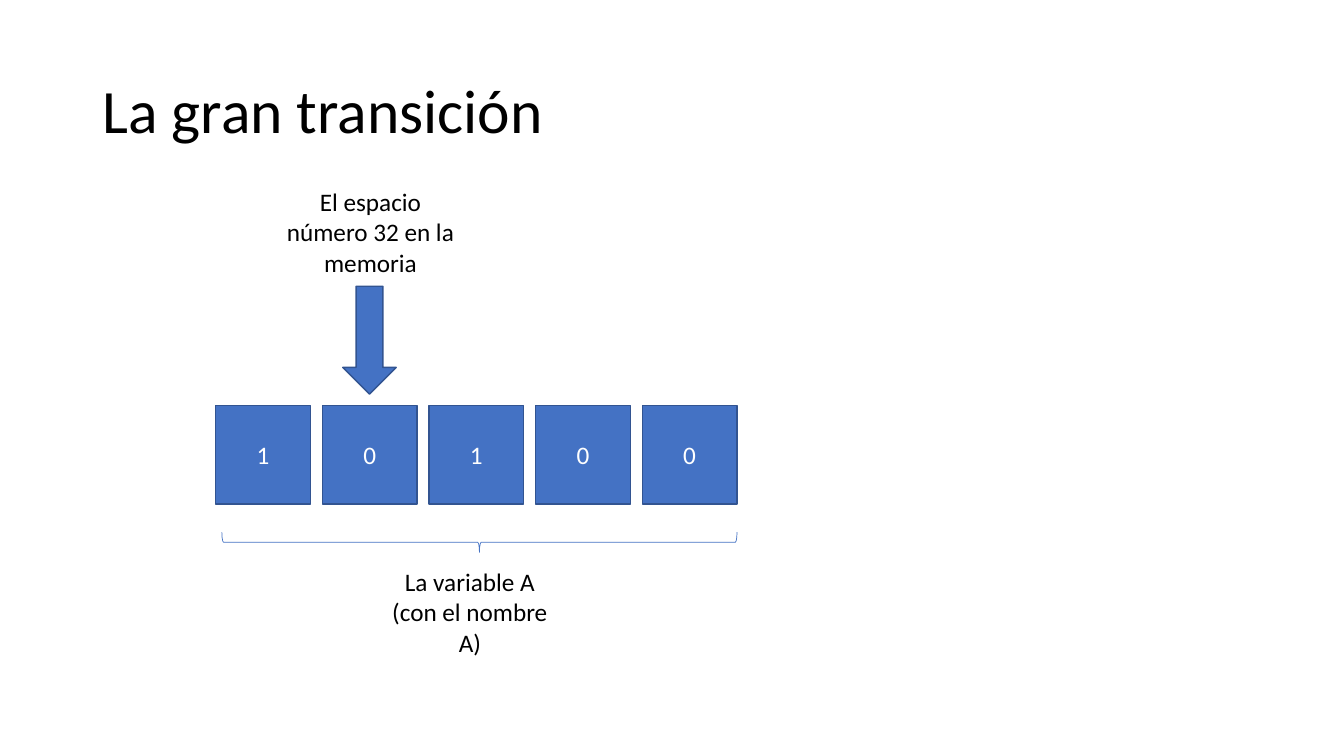
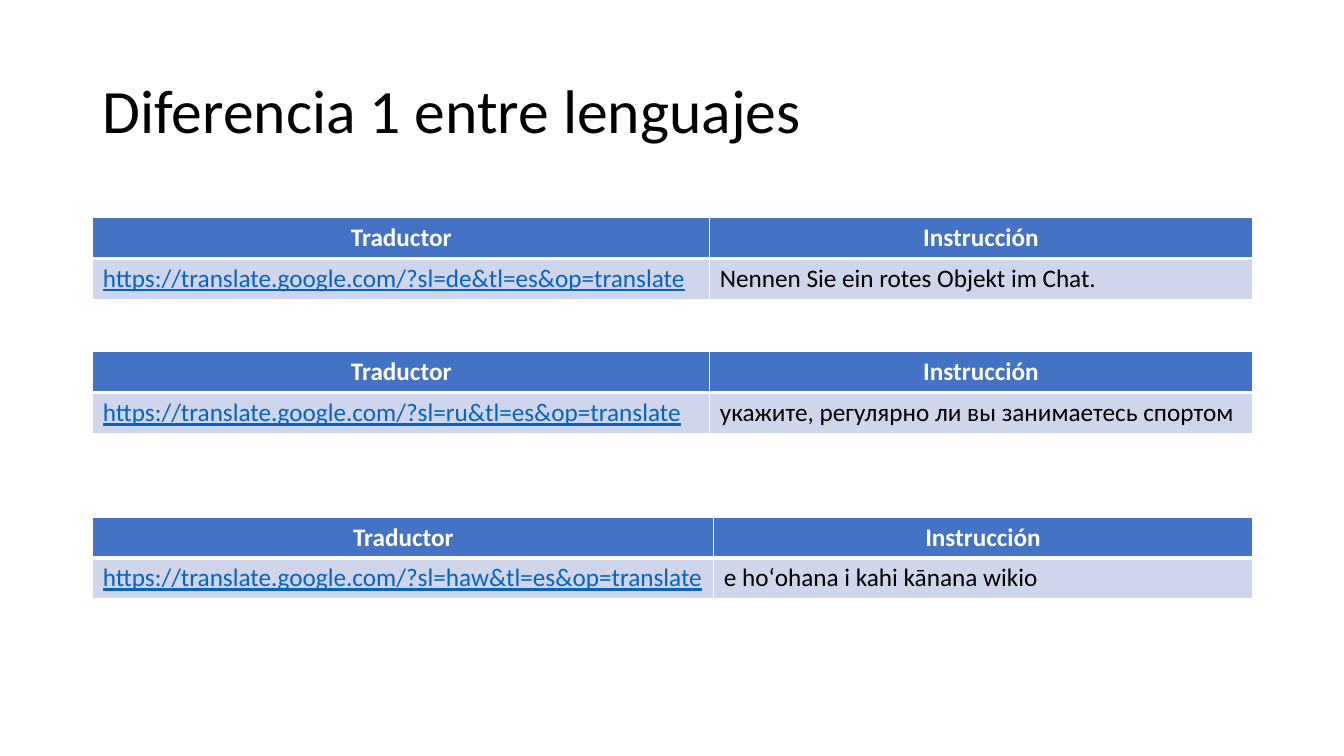
import dataclasses

import lxml.etree
import pptx
import pptx.dml.color
import pptx.enum.shapes
import pptx.enum.text
import pptx.oxml.ns
import pptx.util

Inches = pptx.util.Inches
Shapes = pptx.enum.shapes.MSO_SHAPE
Align = pptx.enum.text.PP_ALIGN
Anchor = pptx.enum.text.MSO_ANCHOR


@dataclasses.dataclass(frozen=True)
class Theme:
    font: str = "Calibri"
    title_size: int = 44
    body_size: int = 18
    black: str = "000000"
    white: str = "FFFFFF"
    blue: str = "4472C4"
    outline: str = "325491"
    pale: str = "CFD5EA"
    link: str = "0563C1"
    thin: float = 0.5
    line: float = 1
    heavy: float = 3


@dataclasses.dataclass(frozen=True)
class Box:
    left: float
    top: float
    width: float
    height: float

    def inches(self):
        return [Inches(value) for value in dataclasses.astuple(self)]


THEME = Theme()
TITLE_BOX = Box(0.92, 0.4, 11.5, 1.45)


def rgb(color):
    return pptx.dml.color.RGBColor.from_string(color)


def write(text_frame, text, color, size=THEME.body_size, align=Align.LEFT, bold=False, underline=False):
    text_frame.text = text
    paragraph = text_frame.paragraphs[0]
    paragraph.alignment = align
    font = paragraph.runs[0].font
    font.name = THEME.font
    font.size = pptx.util.Pt(size)
    font.bold = bold
    font.underline = underline
    font.color.rgb = rgb(color)


def add_text(slide, box, text, **style):
    text_frame = slide.shapes.add_textbox(*box.inches()).text_frame
    text_frame.word_wrap = True
    write(text_frame, text, THEME.black, **style)
    return text_frame


def add_title(slide, text):
    text_frame = add_text(slide, TITLE_BOX, text, size=THEME.title_size)
    text_frame.vertical_anchor = Anchor.MIDDLE
    text_frame.paragraphs[0].line_spacing = 0.9


def add_shape(slide, kind, box, fill=THEME.blue, line=THEME.outline, width=THEME.line):
    shape = slide.shapes.add_shape(kind, *box.inches())
    shape.shadow.inherit = False
    if fill:
        shape.fill.solid()
        shape.fill.fore_color.rgb = rgb(fill)
    else:
        shape.fill.background()
    shape.line.color.rgb = rgb(line)
    shape.line.width = pptx.util.Pt(width)
    return shape


def add_memory_row(slide, box, bits, cell_width):
    pitch = (box.width - cell_width) / (len(bits) - 1)
    for index, bit in enumerate(bits):
        cell_box = Box(box.left + index * pitch, box.top, cell_width, box.height)
        text_frame = add_shape(slide, Shapes.RECTANGLE, cell_box).text_frame
        text_frame.vertical_anchor = Anchor.MIDDLE
        write(text_frame, bit, THEME.white, align=Align.CENTER)


def add_brace_below(slide, box):
    upright = Box(
        box.left + (box.width - box.height) / 2,
        box.top + (box.height - box.width) / 2,
        box.height,
        box.width,
    )
    brace = add_shape(slide, Shapes.RIGHT_BRACE, upright, None, THEME.blue, THEME.thin)
    brace.rotation = 90


def add_memory_diagram(slide, box):
    add_memory_row(slide, Box(box.left, box.top + 2.22, box.width, 0.98), "10100", 0.94)
    add_text(slide, Box(box.left + 0.57, box.top, 1.93, 1.01),
             "El espacio número 32 en la memoria", align=Align.CENTER)
    add_shape(slide, Shapes.DOWN_ARROW, Box(box.left + 1.26, box.top + 1.04, 0.53, 1.07))
    add_text(slide, Box(box.left + 1.53, box.top + 3.77, 1.98, 1.01),
             "La variable A (con el nombre A)", align=Align.CENTER)
    add_brace_below(slide, Box(box.left + 0.06, box.top + 3.48, box.width - 0.06, 0.2))


def style_cell(cell, fill, top, bottom):
    properties = cell._tc.get_or_add_tcPr()
    widths = {"a:lnL": THEME.line, "a:lnR": THEME.line, "a:lnT": top, "a:lnB": bottom}
    for tag, width in widths.items():
        border = lxml.etree.SubElement(properties, pptx.oxml.ns.qn(tag), w=str(pptx.util.Pt(width)))
        solid = lxml.etree.SubElement(border, pptx.oxml.ns.qn("a:solidFill"))
        lxml.etree.SubElement(solid, pptx.oxml.ns.qn("a:srgbClr"), val=THEME.white)
    cell.fill.solid()
    cell.fill.fore_color.rgb = rgb(fill)


def add_translator_table(slide, box, link_width, link, instruction):
    table = slide.shapes.add_table(2, 2, *box.inches()).table
    for column, width in zip(table.columns, (link_width, box.width - link_width)):
        column.width = Inches(width)
    for column, heading in enumerate(("Traductor", "Instrucción")):
        cell = table.cell(0, column)
        style_cell(cell, THEME.blue, THEME.line, THEME.heavy)
        write(cell.text_frame, heading, THEME.white, align=Align.CENTER, bold=True)
    for column, (text, color) in enumerate(((link, THEME.link), (instruction, THEME.black))):
        cell = table.cell(1, column)
        style_cell(cell, THEME.pale, THEME.heavy, THEME.line)
        write(cell.text_frame, text, color, underline=color == THEME.link)


def add_slide(presentation, title):
    slide = presentation.slides.add_slide(presentation.slide_layouts[6])
    add_title(slide, title)
    return slide


def build_transition_slide(presentation):
    slide = add_slide(presentation, "La gran transición")
    add_memory_diagram(slide, Box(2.14, 1.8, 5.17, 4.78))


def build_languages_slide(presentation):
    slide = add_slide(presentation, "Diferencia 1 entre lenguajes")
    rows = (
        (2.16, 6.12, "de", "Nennen Sie ein rotes Objekt im Chat."),
        (3.49, 6.12, "ru", "укажите, регулярно ли вы занимаетесь спортом"),
        (5.13, 6.16, "haw", "e hoʻohana i kahi kānana wikio"),
    )
    for top, link_width, language, instruction in rows:
        link = f"https://translate.google.com/?sl={language}&tl=es&op=translate"
        box = Box(TITLE_BOX.left, top, TITLE_BOX.width, 0.81)
        add_translator_table(slide, box, link_width, link, instruction)


def main():
    presentation = pptx.Presentation()
    presentation.slide_width = Inches(13.33)
    presentation.slide_height = Inches(7.5)
    build_transition_slide(presentation)
    build_languages_slide(presentation)
    presentation.save("out.pptx")


if __name__ == "__main__":
    main()
